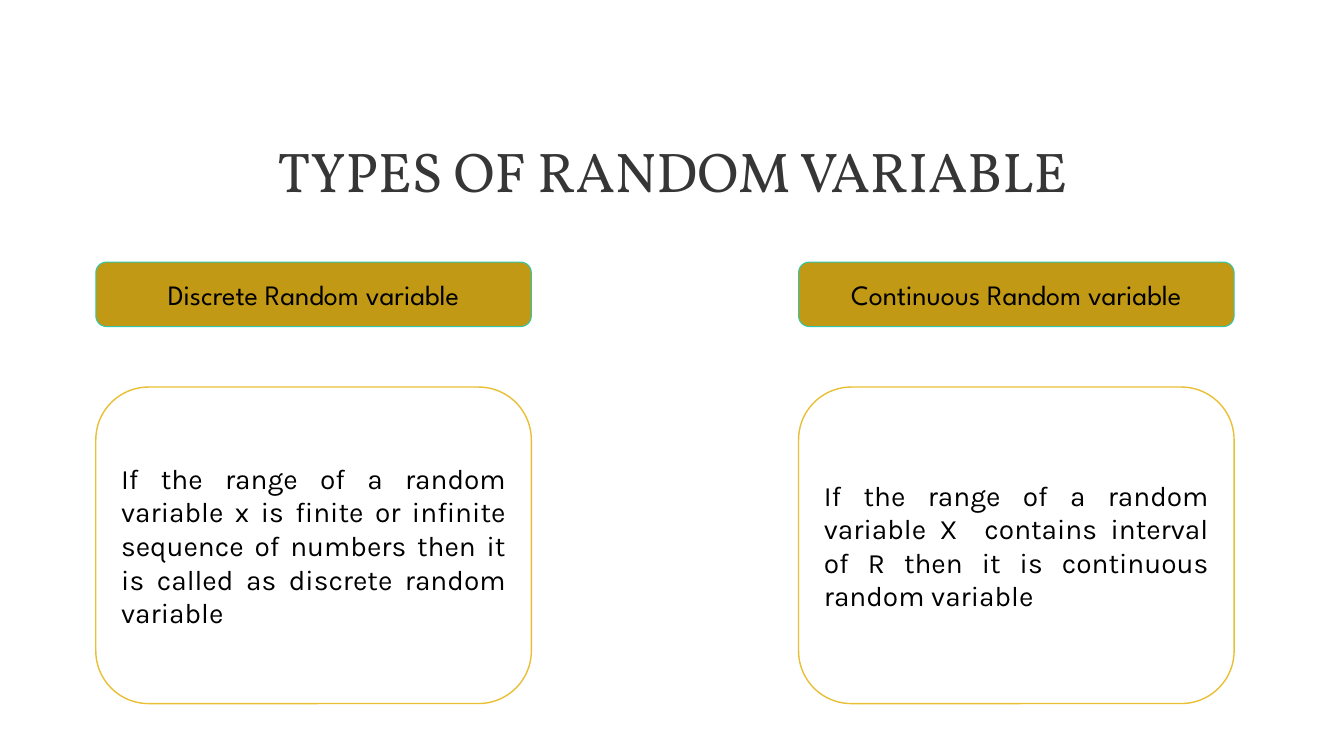
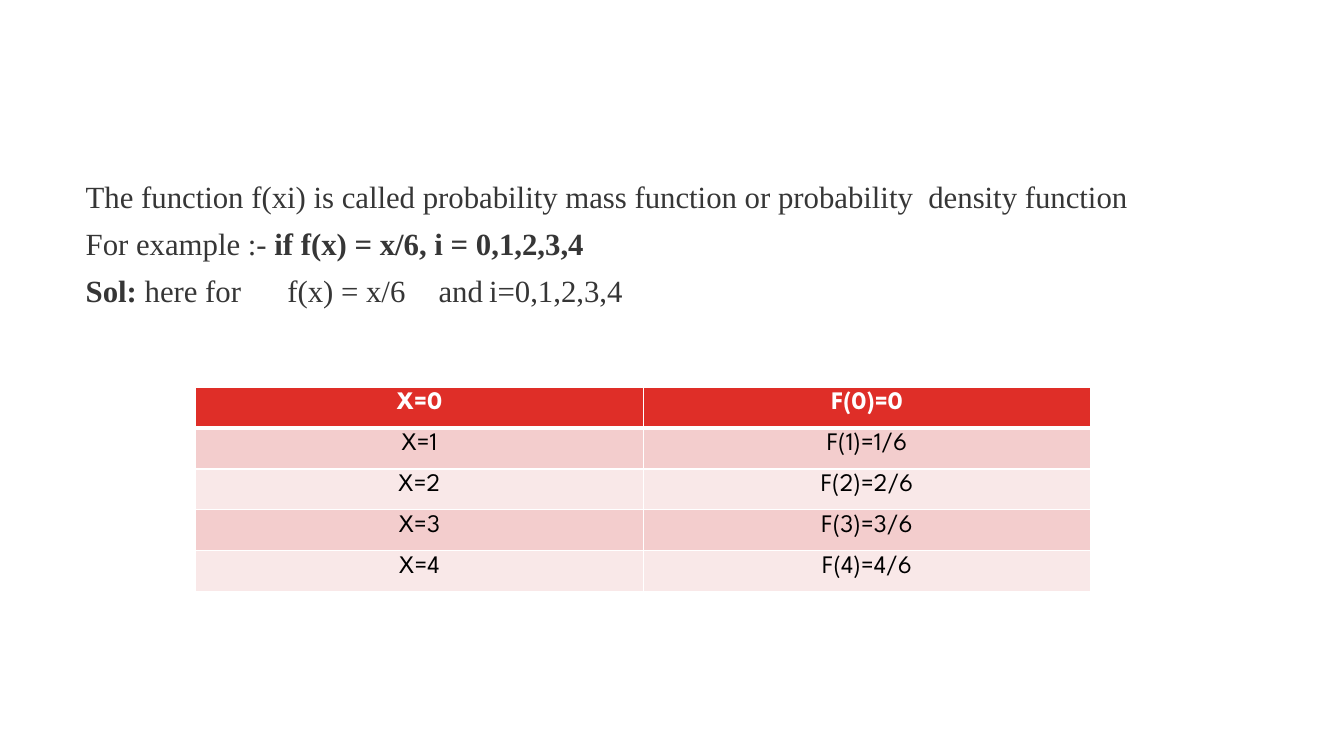
from dataclasses import dataclass

from lxml.etree import SubElement
from pptx import Presentation
from pptx.dml.color import RGBColor
from pptx.enum.shapes import MSO_SHAPE
from pptx.enum.text import MSO_ANCHOR, MSO_AUTO_SIZE, PP_ALIGN
from pptx.oxml.ns import qn
from pptx.util import Inches, Pt


@dataclass(frozen=True)
class Theme:
    heading_font: str = "Vollkorn"
    label_font: str = "League Spartan"
    text_font: str = "Karla"
    body_font: str = "Times New Roman"
    title_size: int = 40
    body_size: int = 22
    card_size: int = 20
    table_size: int = 18
    ink: str = "363636"
    black: str = "000000"
    white: str = "FFFFFF"
    gold: str = "C19915"
    gold_line: str = "E9BF35"
    teal: str = "32C7A9"
    red: str = "DF2E28"
    bands: tuple = ("F9E8E8", "F3CDCD")


theme = Theme()


def style(paragraph, font, size, color, align, bold=None):
    paragraph.alignment = align
    paragraph.font.name = font
    paragraph.font.size = Pt(size)
    paragraph.font.bold = bold
    paragraph.font.color.rgb = RGBColor.from_string(color)


def add_card(slide, kind, box, fill, line, line_width, text, font, align):
    card = slide.shapes.add_shape(kind, *map(Inches, box))
    card.shadow.inherit = False
    card.fill.solid()
    card.fill.fore_color.rgb = RGBColor.from_string(fill)
    card.line.color.rgb = RGBColor.from_string(line)
    card.line.width = Pt(line_width)
    card.text_frame.word_wrap = True
    card.text_frame.vertical_anchor = MSO_ANCHOR.MIDDLE
    card.text_frame.text = text
    style(card.text_frame.paragraphs[0], font, theme.card_size, theme.black, align)


prs = Presentation()
prs.slide_width, prs.slide_height = Inches(13.33), Inches(7.5)
title_and_content, title_only = prs.slide_layouts[1], prs.slide_layouts[5]

# Slide 1: the two types of random variable
types_slide = prs.slides.add_slide(title_only)
title = types_slide.shapes.title
title.left, title.top, title.width, title.height = map(Inches, (1.96, 1.03, 9.42, 1.41))
title.text_frame.text = "TYPES OF RANDOM VARIABLE"
title.text_frame.auto_size = MSO_AUTO_SIZE.NONE
title.text_frame.vertical_anchor = MSO_ANCHOR.MIDDLE
heading = title.text_frame.paragraphs[0]
heading.line_spacing = 0.9
style(heading, theme.heading_font, theme.title_size, theme.ink, PP_ALIGN.CENTER)

variable_types = [
    ("Discrete Random variable",
     "If the range of a random variable x is finite or infinite sequence of numbers "
     "then it is called as discrete random variable"),
    ("Continuous Random variable",
     "If the range of a random variable X  contains interval of R "
     "then it is continuous random variable"),
]
card_width, card_step = 4.32, 6.97
for column, (name, definition) in enumerate(variable_types):
    left = 0.95 + column * card_step
    add_card(types_slide, MSO_SHAPE.FLOWCHART_ALTERNATE_PROCESS,
             (left, 2.6, card_width, 0.64), theme.gold, theme.teal, 0.75,
             name, theme.label_font, PP_ALIGN.CENTER)
    add_card(types_slide, MSO_SHAPE.ROUNDED_RECTANGLE,
             (left, 3.84, card_width, 3.14), theme.white, theme.gold_line, 1,
             definition, theme.text_font, PP_ALIGN.JUSTIFY)

# Slide 2: probability mass function with its table of values
function_slide = prs.slides.add_slide(title_and_content)
unused_title = function_slide.shapes.title.element
unused_title.getparent().remove(unused_title)

explanation = function_slide.placeholders[1]
explanation.left, explanation.top, explanation.width, explanation.height = map(
    Inches, (0.75, 1.75, 11.83, 1.75))
explanation.text_frame.auto_size = MSO_AUTO_SIZE.NONE
explanation.text_frame.vertical_anchor = MSO_ANCHOR.TOP

# Each line is a list of (text, bold) parts
lines = [
    [("The function f(xi) is called probability mass function or probability  "
      "density function", False)],
    [("For example :- ", False), ("if f(x) = x/6, i = 0,1,2,3,4", True)],
    [("Sol: ", True), ("here for\tf(x) = x/6\tand\ti=0,1,2,3,4", False)],
]
tab_positions = (3.08, 5.31, 7)
for number, parts in enumerate(lines):
    frame = explanation.text_frame
    line = frame.add_paragraph() if number else frame.paragraphs[0]
    style(line, theme.body_font, theme.body_size, theme.ink, PP_ALIGN.LEFT)
    line.line_spacing = 0.9
    line.space_before = Pt(10)
    for text, bold in parts:
        run = line.add_run()
        run.text = text
        run.font.bold = bold
    properties = line._p.get_or_add_pPr()
    properties.set("marL", "0")
    properties.set("indent", "0")
    no_bullet = properties.makeelement(qn("a:buNone"))
    tabs = properties.makeelement(qn("a:tabLst"))
    for position in tab_positions:
        SubElement(tabs, qn("a:tab"), pos=str(Inches(position)), algn="l")
    defaults = properties.find(qn("a:defRPr"))
    defaults.addprevious(no_bullet)
    defaults.addprevious(tabs)

values = [("X=0", "F(0)=0")] + [(f"X={x}", f"F({x})={x}/6") for x in range(1, 5)]
table = function_slide.shapes.add_table(
    len(values), 2, Inches(1.94), Inches(3.84), Inches(8.88), Inches(2.03)).table
for row, pair in enumerate(values):
    is_header = row == 0
    for column, text in enumerate(pair):
        cell = table.cell(row, column)
        cell.text = text
        style(cell.text_frame.paragraphs[0], theme.label_font, theme.table_size,
              theme.white if is_header else theme.black, PP_ALIGN.CENTER, is_header)
        cell_properties = cell._tc.get_or_add_tcPr()
        for side in ("lnL", "lnR", "lnT", "lnB"):
            thick = (is_header and side == "lnB") or (row == 1 and side == "lnT")
            border = SubElement(cell_properties, qn(f"a:{side}"),
                                w=str(Pt(3 if thick else 1)))
            border_fill = SubElement(border, qn("a:solidFill"))
            SubElement(border_fill, qn("a:srgbClr"), val=theme.white)
        cell.fill.solid()
        cell.fill.fore_color.rgb = RGBColor.from_string(
            theme.red if is_header else theme.bands[row % 2])

prs.save("out.pptx")
